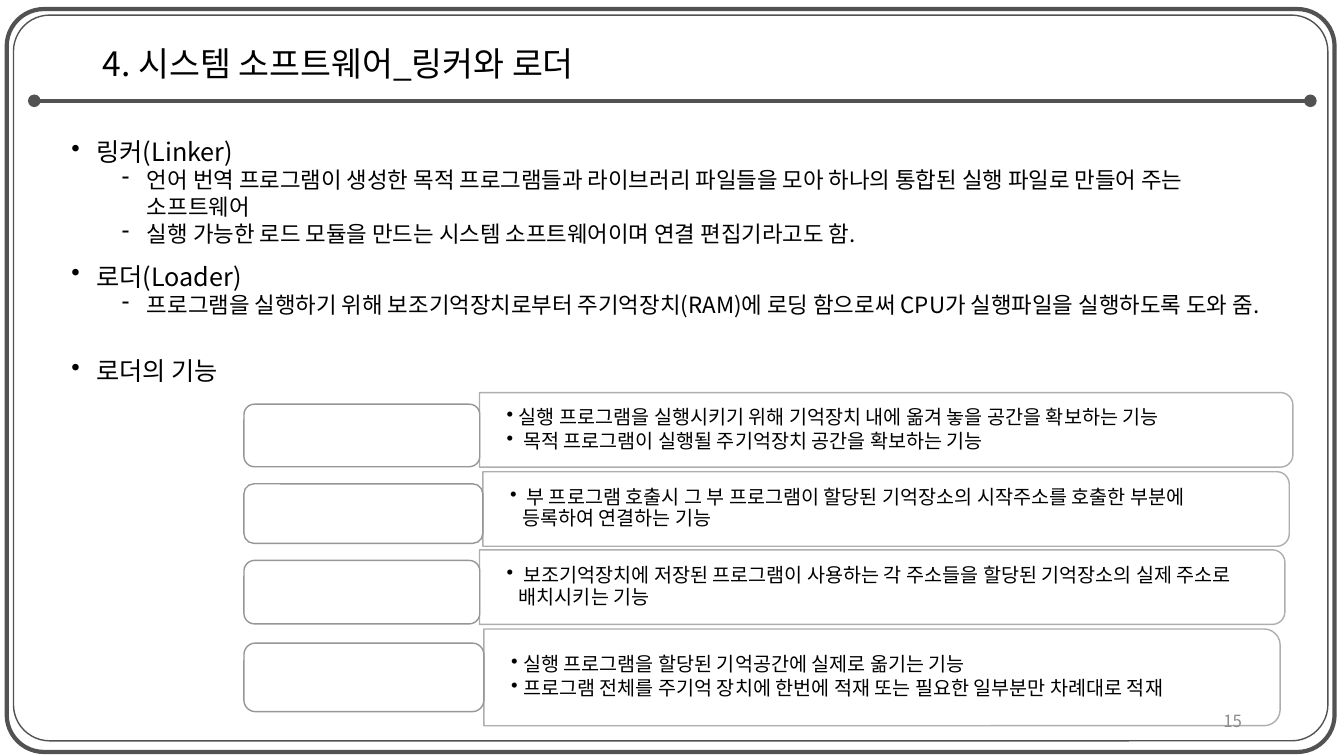
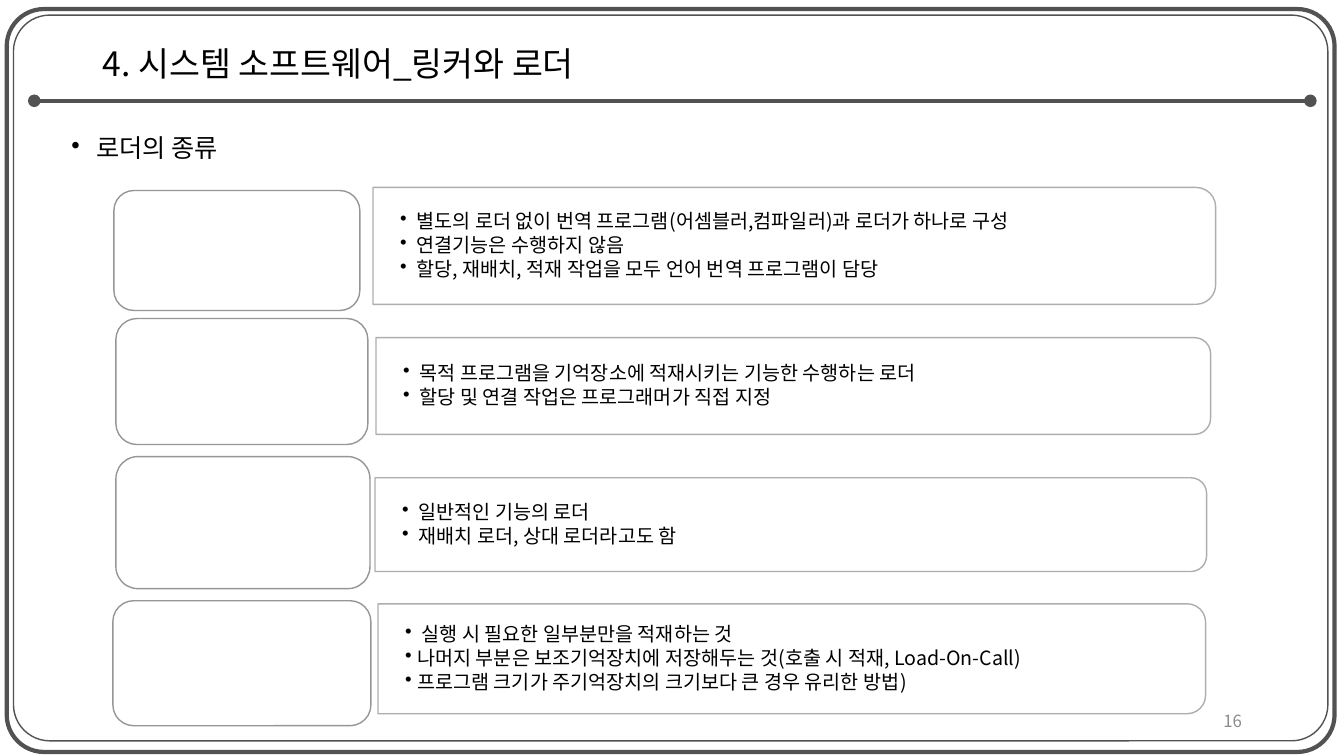
from dataclasses import dataclass

from lxml import etree
from pptx import Presentation
from pptx import util as u
from pptx.dml.color import RGBColor
from pptx.enum import shapes, text
from pptx.oxml import ns

WIDTH, HEIGHT = u.Inches(13.333), u.Inches(7.5)
COLS, ROWS = 40, 30


@dataclass(frozen=True)
class Theme:
    font: str = "Noto Sans CJK KR"
    ink: str = "000000"
    frame: str = "525252"
    label_line: str = "969696"
    panel_line: str = "AEAEAE"
    paper: str = "FFFFFF"
    muted: str = "8C8C8C"
    title: int = 24
    head: int = 18
    body: int = 16
    panel: int = 14
    number: int = 12


THEME = Theme()


def col(n):
    return round(WIDTH * n / COLS)


def row(n):
    return round(HEIGHT * n / ROWS)


def sub(parent, tag, **attrs):
    return etree.SubElement(parent, ns.qn(tag), attrs)


def write(tf, words, size, color=THEME.ink, bullet=None, left=0, hang=0,
          spacing=1.0, before=0, after=0, align=None):
    """Add one paragraph, filling the empty first one if there is one."""
    first = tf.paragraphs[0]
    p = tf.add_paragraph() if first.runs else first
    if bullet:
        pPr = p._p.get_or_add_pPr()
        pPr.set("marL", str(u.Inches(left)))
        pPr.set("indent", str(-u.Inches(hang)))
        sub(pPr, "a:buChar", char=bullet)
    p.line_spacing = spacing
    p.space_before = u.Pt(before)
    p.space_after = u.Pt(after)
    p.alignment = align
    r = p.add_run()
    r.text = words
    r.font.size = u.Pt(size)
    r.font.color.rgb = RGBColor.from_string(color)
    r.font.name = THEME.font
    sub(r._r.get_or_add_rPr(), "a:ea", typeface=THEME.font)


class Deck:
    def __init__(self, theme):
        self.theme = theme
        self.prs = Presentation()
        self.prs.slide_width, self.prs.slide_height = WIDTH, HEIGHT
        self.slide = None

    def start(self, title):
        """Open a slide with its double frame, title and rule."""
        self.slide = self.prs.slides.add_slide(self.prs.slide_layouts[6])
        for box, weight in (((0.4, 0.6, 39.12, 28.8), 1),
                            ((0.2, 0.36, 39.52, 29.48), 3)):
            sp = self.shape(shapes.MSO_SHAPE.ROUNDED_RECTANGLE, box,
                            self.theme.frame, weight, fill=None)
            sp.adjustments[0] = 0.05
        self.rule(1.02, 39, 4)
        tf = self.textbox((2.76, 1.2, 34.5, 2.8), middle=True)
        write(tf, title, self.theme.title, spacing=0.9)

    def shape(self, kind, box, line, weight=1, fill=THEME.paper, turned=False):
        """Draw a preset shape; a turned one fills the box after a quarter turn."""
        x, y, w, h = col(box[0]), row(box[1]), col(box[2]), row(box[3])
        if turned:
            x, y, w, h = x + (w - h) // 2, y + (h - w) // 2, h, w
        sp = self.slide.shapes.add_shape(kind, x, y, w, h)
        sp.rotation = 90 if turned else 0
        sp.shadow.inherit = False
        if fill:
            sp.fill.solid()
            sp.fill.fore_color.rgb = RGBColor.from_string(fill)
        else:
            sp.fill.background()
        sp.line.color.rgb = RGBColor.from_string(line)
        sp.line.width = u.Pt(weight)
        return sp

    def rule(self, x1, x2, y):
        line = self.slide.shapes.add_connector(
            shapes.MSO_CONNECTOR.STRAIGHT, col(x1), row(y), col(x2), row(y))
        line.line.color.rgb = RGBColor.from_string(self.theme.frame)
        line.line.width = u.Pt(3)
        ln = line.line._get_or_add_ln()
        sub(ln, "a:headEnd", type="oval")
        sub(ln, "a:tailEnd", type="oval")
        sub(line._element.spPr, "a:effectLst")

    def textbox(self, box, middle=False, inset=(0.1, 0.05)):
        x, y, w, h = box
        tf = self.slide.shapes.add_textbox(
            col(x), row(y), col(w), row(h)).text_frame
        tf.word_wrap = True
        tf.margin_left = tf.margin_right = u.Inches(inset[0])
        tf.margin_top = tf.margin_bottom = u.Inches(inset[1])
        if middle:
            tf.vertical_anchor = text.MSO_ANCHOR.MIDDLE
        return tf

    def outline(self, items, width):
        """Write (heading, points, line spacing, space before) items."""
        tf = self.textbox((1.83, 5.2, width, 21.84))
        for heading, points, spacing, before in items:
            write(tf, heading, self.theme.head, bullet="•", left=0.25,
                  hang=0.25, spacing=spacing, before=before)
            for point in points:
                write(tf, point, self.theme.body, bullet="-", left=0.75,
                      hang=0.25)

    def entry(self, label, panel, points):
        """Draw an empty label beside a panel of bullet points."""
        self.shape(shapes.MSO_SHAPE.ROUND_2_SAME_RECTANGLE, panel,
                   self.theme.panel_line, turned=True)
        x, y, w, h = panel
        tf = self.textbox((x, y + 0.16, w - 0.1, h - 0.32), middle=True,
                          inset=(0.27, 0.14))
        for point in points:
            write(tf, point, self.theme.panel, bullet="•", left=0.12,
                  hang=0.12, spacing=0.9, after=2)
        self.shape(shapes.MSO_SHAPE.ROUNDED_RECTANGLE, label,
                   self.theme.label_line)

    def number(self, n):
        tf = self.textbox((28.26, 27.8, 9, 1.6), middle=True)
        write(tf, str(n), self.theme.number, color=self.theme.muted,
              align=text.PP_ALIGN.RIGHT)


TITLE = "4. 시스템 소프트웨어_링커와 로더"

LINKER_AND_LOADER = [
    ("링커(Linker)", [
        "언어 번역 프로그램이 생성한 목적 프로그램들과 라이브러리 파일들을 모아 "
        "하나의 통합된 실행 파일로 만들어 주는 소프트웨어",
        "실행 가능한 로드 모듈을 만드는 시스템 소프트웨어이며 연결 편집기라고도 함.",
    ], 1.0, 0),
    ("로더(Loader)", [
        "프로그램을 실행하기 위해 보조기억장치로부터 주기억장치(RAM)에 로딩 함으로써 "
        "CPU가 실행파일을 실행하도록 도와 줌.",
    ], 1.0, 10),
    ("로더의 기능", [], 0.9, 29),
]

LOADER_FUNCTIONS = [
    ((7.26, 16.04, 7.02, 2.48), (14.27, 15.58, 24.21, 2.96), [
        "실행 프로그램을 실행시키기 위해 기억장치 내에 옮겨 놓을 공간을 확보하는 기능",
        " 목적 프로그램이 실행될 주기억장치 공간을 확보하는 기능"]),
    ((7.26, 19.2, 7.11, 2.36), (14.37, 18.72, 24, 2.96), [
        " 부 프로그램 호출시 그 부 프로그램이 할당된 기억장소의 시작주소를 "
        "호출한 부분에 등록하여 연결하는 기능"]),
    ((7.26, 22.24, 7.02, 2.52), (14.27, 21.82, 23.97, 2.96), [
        " 보조기억장치에 저장된 프로그램이 사용하는 각 주소들을 할당된 "
        "기억장소의 실제 주소로 배치시키는 기능"]),
    ((7.26, 25.52, 7.14, 2.72), (14.4, 24.96, 23.7, 3.84), [
        "실행 프로그램을 할당된 기억공간에 실제로 옮기는 기능",
        "프로그램 전체를 주기억 장치에 한번에 적재 또는 필요한 일부분만 차례대로 적재"]),
]

LOADER_KINDS = [
    ((3.39, 7.56, 7.32, 4.76), (11.1, 7.44, 25.08, 4.64), [
        " 별도의 로더 없이 번역 프로그램(어셈블러,컴파일러)과 로더가 하나로 구성",
        " 연결기능은 수행하지 않음",
        " 할당, 재배치, 적재 작업을 모두 언어 번역 프로그램이 담당"]),
    ((3.45, 12.64, 7.5, 5), (11.19, 13.4, 24.84, 3.84), [
        " 목적 프로그램을 기억장소에 적재시키는 기능한 수행하는 로더",
        " 할당 및 연결 작업은 프로그래머가 직접 지정"]),
    ((3.45, 18.12, 7.56, 5.24), (11.16, 18.96, 24.75, 3.72), [
        " 일반적인 기능의 로더",
        " 재배치 로더, 상대 로더라고도 함"]),
    ((3.36, 23.84, 7.68, 4.96), (11.25, 23.96, 24.63, 4.36), [
        " 실행 시 필요한 일부분만을 적재하는 것",
        "나머지 부분은 보조기억장치에 저장해두는 것(호출 시 적재, Load-On-Call)",
        "프로그램 크기가 주기억장치의 크기보다 큰 경우 유리한 방법)"]),
]

PAGES = [
    (15, LINKER_AND_LOADER, 36.66, LOADER_FUNCTIONS),
    (16, [("로더의 종류", [], 0.9, 0)], 36.33, LOADER_KINDS),
]


def main():
    deck = Deck(THEME)
    for number, items, width, entries in PAGES:
        deck.start(TITLE)
        deck.outline(items, width)
        for label, panel, points in entries:
            deck.entry(label, panel, points)
        deck.number(number)
    deck.prs.save("out.pptx")


if __name__ == "__main__":
    main()
